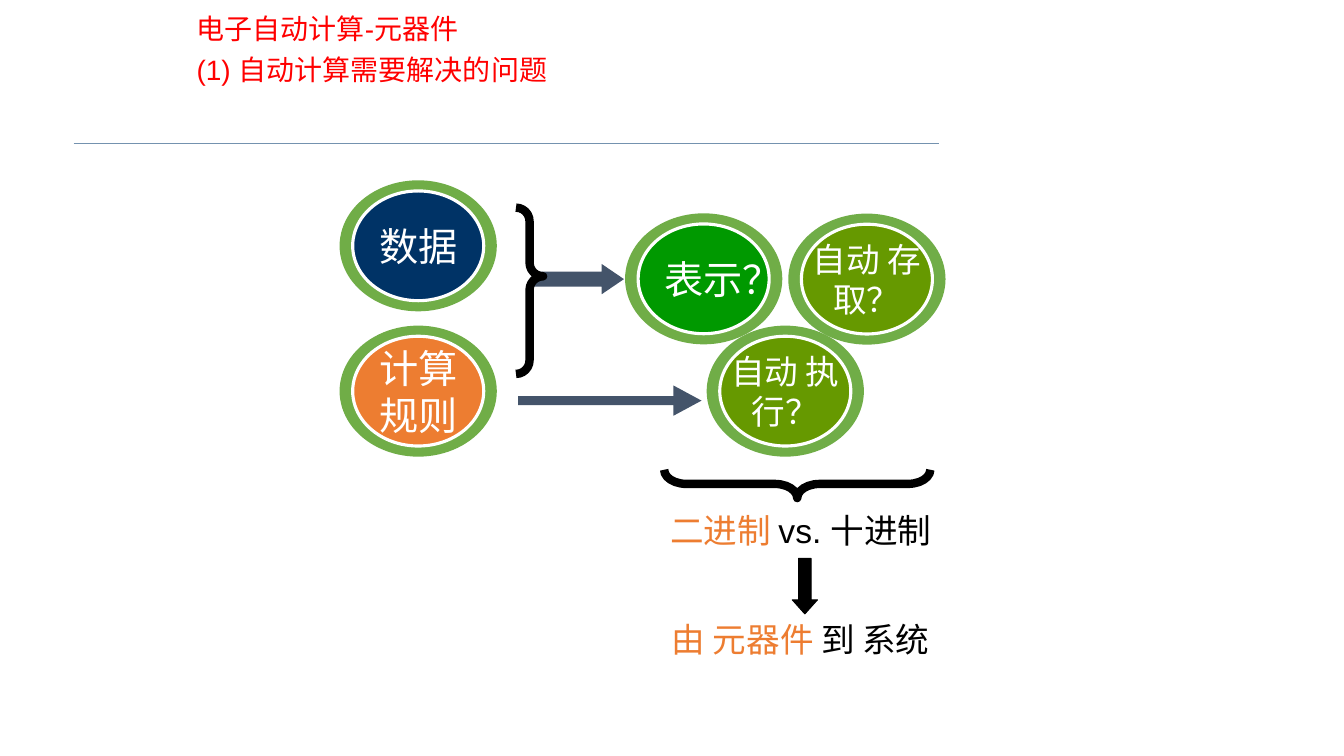
from dataclasses import dataclass

from lxml.etree import SubElement
from pptx import Presentation
from pptx.dml.color import RGBColor
from pptx.enum.shapes import MSO_CONNECTOR, MSO_SHAPE
from pptx.enum.text import MSO_ANCHOR, MSO_AUTO_SIZE, PP_ALIGN
from pptx.oxml.ns import qn
from pptx.shapes.autoshape import Shape
from pptx.shapes.shapetree import GroupShapes, SlideShapes
from pptx.slide import Slide
from pptx.text.text import TextFrame, _Paragraph
from pptx.util import Pt

COLORS = {
    "title": "FF0000",
    "rule": "7492AF",
    "ring": "70AD47",
    "data": "003366",
    "accent": "ED7D31",
    "represent": "009900",
    "automatic": "669900",
    "arrow": "44546A",
    "white": "FFFFFF",
    "black": "000000",
}
LATIN_FONT = "Arial"
CHINESE_FONT = "Noto Sans CJK SC"
RING_WIDTH, RING_HEIGHT = 112.3, 93.6
CORE_WIDTH, CORE_HEIGHT = 93.6, 78.4


@dataclass
class Bubble:
    label: str
    left: float
    top: float
    color: str
    size: float


@dataclass
class Mark:
    kind: MSO_SHAPE
    left: float
    top: float
    width: float
    height: float
    adjustments: tuple[float, float]
    fill: str | None = None
    line: str | None = None
    line_width: float = 0
    rotation: float = 0


@dataclass
class Conclusion:
    left: float
    top: float
    highlight: str
    rest: str


BUBBLES = [
    Bubble("数据", 242.6, 128.8, "data", 28),
    Bubble("计算规则", 242.6, 232.6, "accent", 28),
    Bubble("表示？", 446.5, 152.4, "represent", 28),
    Bubble("自动 存取？", 563.1, 152.6, "automatic", 24),
    Bubble("自动 执行？", 504.8, 232.6, "automatic", 24),
]
MARKS = [
    Mark(MSO_SHAPE.RIGHT_ARROW, 381.6, 188.6, 64.1, 21.6, (0.5, 0.736), "arrow"),
    Mark(MSO_SHAPE.RIGHT_BRACE, 368.6, 148.3, 19.4, 118.8, (0.502, 0.413),
         line="black", line_width=6),
    Mark(MSO_SHAPE.RIGHT_ARROW, 370.1, 275.4, 131, 21.6, (0.303, 0.926), "arrow"),
    Mark(MSO_SHAPE.LEFT_BRACE, 559.4, 250.6, 20.2, 190.1, (0.791, 0.5),
         line="black", line_width=6, rotation=270),
    Mark(MSO_SHAPE.DOWN_ARROW, 565.9, 398.9, 18, 39.6, (0.5, 0.558),
         "black", "black", 0.75),
]
CONCLUSIONS = [
    Conclusion(471.6, 360.7, "二进制 ", "vs. 十进制"),
    Conclusion(472.7, 438.5, "由 元器件", " 到 系统"),
]
TITLE_LINES = ["电子自动计算-元器件", "(1) 自动计算需要解决的问题"]


def rgb(name: str) -> RGBColor:
    return RGBColor.from_string(COLORS[name])


def add_run(paragraph: _Paragraph, text: str, size: float, color: str,
            latin: str = LATIN_FONT) -> None:
    run = paragraph.add_run()
    run.text = text
    run.font.size = Pt(size)
    run.font.color.rgb = rgb(color)
    run.font.name = latin
    SubElement(run.font._element, qn("a:ea")).set("typeface", CHINESE_FONT)


def set_frame(frame: TextFrame, anchor: MSO_ANCHOR) -> None:
    frame.word_wrap = True
    frame.auto_size = MSO_AUTO_SIZE.NONE
    frame.vertical_anchor = anchor


def add_figure(shapes: SlideShapes | GroupShapes, mark: Mark) -> Shape:
    figure = shapes.add_shape(mark.kind, Pt(mark.left), Pt(mark.top),
                              Pt(mark.width), Pt(mark.height))
    figure.shadow.inherit = False
    figure.rotation = mark.rotation
    for index in range(len(figure.adjustments)):
        figure.adjustments[index] = mark.adjustments[index]
    if mark.fill:
        figure.fill.solid()
        figure.fill.fore_color.rgb = rgb(mark.fill)
    else:
        figure.fill.background()
    if mark.line:
        figure.line.color.rgb = rgb(mark.line)
        figure.line.width = Pt(mark.line_width)
    else:
        figure.line.fill.background()
    return figure


def add_bubble(slide: Slide, bubble: Bubble) -> None:
    shapes = slide.shapes.add_group_shape().shapes
    core_left = bubble.left + (RING_WIDTH - CORE_WIDTH) / 2
    core_top = bubble.top + (RING_HEIGHT - CORE_HEIGHT) / 2
    add_figure(shapes, Mark(MSO_SHAPE.DONUT, bubble.left, bubble.top,
                            RING_WIDTH, RING_HEIGHT, (0.1, 0), "ring"))
    add_figure(shapes, Mark(MSO_SHAPE.OVAL, core_left, core_top, CORE_WIDTH,
                            CORE_HEIGHT, (0, 0), bubble.color, "white", 2.25))
    label = shapes.add_textbox(Pt(core_left), Pt(core_top),
                               Pt(CORE_WIDTH), Pt(CORE_HEIGHT))
    set_frame(label.text_frame, MSO_ANCHOR.MIDDLE)
    paragraph = label.text_frame.paragraphs[0]
    paragraph.alignment = PP_ALIGN.CENTER
    add_run(paragraph, bubble.label, bubble.size, "white", CHINESE_FONT)


def add_conclusion(slide: Slide, conclusion: Conclusion) -> None:
    statement = slide.shapes.add_textbox(Pt(conclusion.left), Pt(conclusion.top),
                                         Pt(202.3), Pt(36))
    set_frame(statement.text_frame, MSO_ANCHOR.TOP)
    paragraph = statement.text_frame.paragraphs[0]
    add_run(paragraph, conclusion.highlight, 24, "accent")
    add_run(paragraph, conclusion.rest, 24, "black")


def add_heading(slide: Slide) -> None:
    heading = slide.shapes.title
    heading.left, heading.top = Pt(133.2), Pt(0)
    heading.width, heading.height = Pt(275.8), Pt(65.5)
    frame = heading.text_frame
    set_frame(frame, MSO_ANCHOR.TOP)
    for index, line in enumerate(TITLE_LINES):
        paragraph = frame.add_paragraph() if index else frame.paragraphs[0]
        paragraph.alignment = PP_ALIGN.LEFT
        paragraph.line_spacing = 1.2
        add_run(paragraph, line, 20, "title")


def add_rule(slide: Slide) -> None:
    rule = slide.shapes.add_connector(MSO_CONNECTOR.STRAIGHT, Pt(52.6), Pt(102.5),
                                      Pt(671), Pt(102.5))
    rule.line.color.rgb = rgb("rule")
    rule.line.width = Pt(0.5)
    SubElement(rule._element.spPr, qn("a:effectLst"))


def main() -> None:
    presentation = Presentation()
    presentation.slide_width, presentation.slide_height = Pt(960), Pt(540)
    slide = presentation.slides.add_slide(presentation.slide_layouts[5])
    add_rule(slide)
    add_heading(slide)
    for bubble in BUBBLES:
        add_bubble(slide, bubble)
    for mark in MARKS:
        add_figure(slide.shapes, mark)
    for conclusion in CONCLUSIONS:
        add_conclusion(slide, conclusion)
    presentation.save("out.pptx")


if __name__ == "__main__":
    main()
